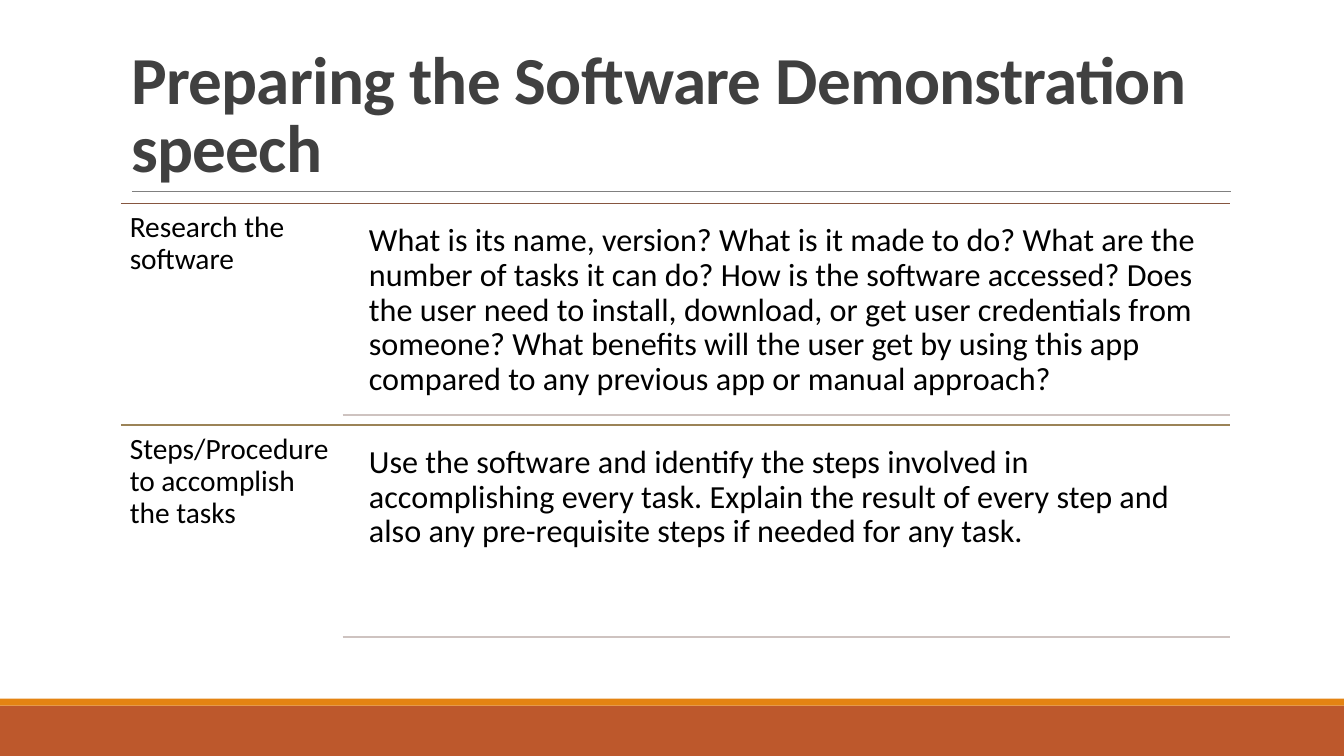
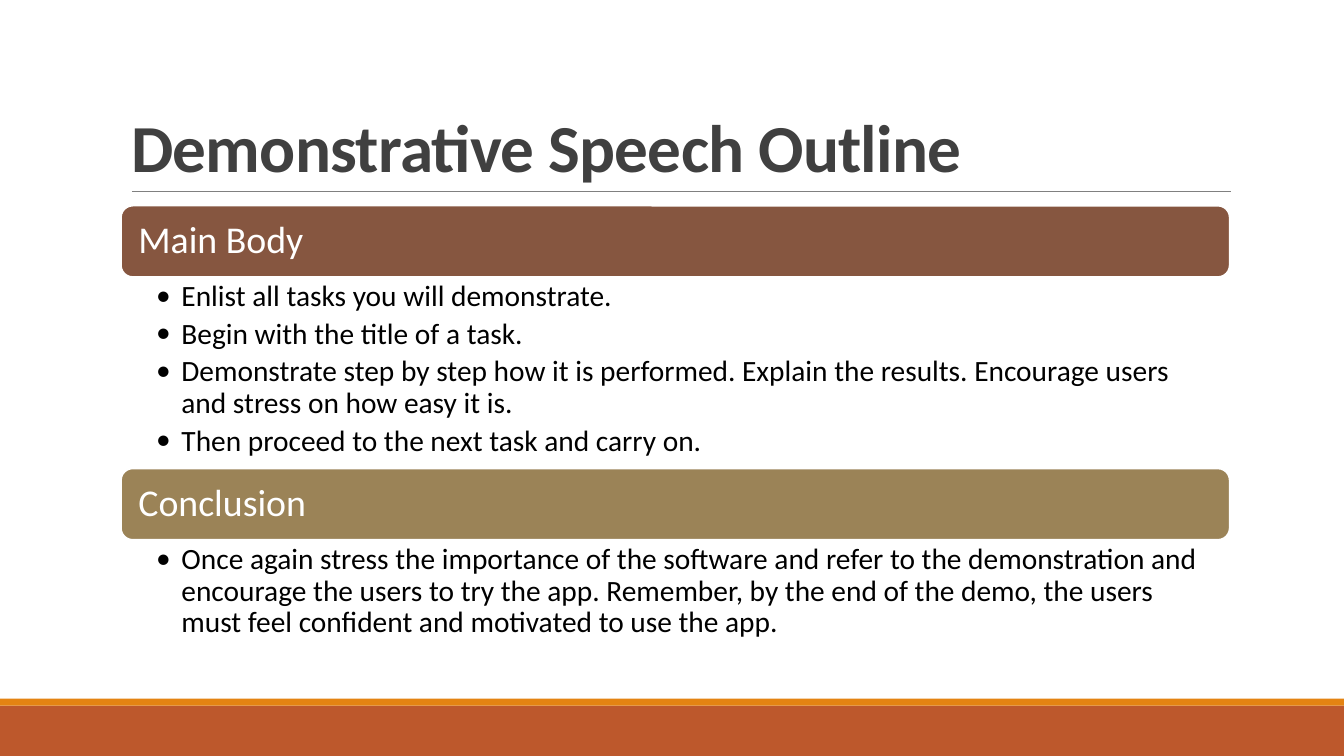
from lxml.etree import SubElement
from pptx import Presentation
from pptx.dml.color import RGBColor
from pptx.enum.shapes import MSO_CONNECTOR, MSO_SHAPE
from pptx.enum.text import MSO_ANCHOR, MSO_AUTO_SIZE, PP_ALIGN
from pptx.oxml.ns import qn
from pptx.util import Pt

RUST = RGBColor(0xBD, 0x58, 0x2C)
ORANGE = RGBColor(0xE4, 0x83, 0x12)
GRAY = RGBColor(0x80, 0x80, 0x80)
CHARCOAL = RGBColor(0x40, 0x40, 0x40)
BROWN = RGBColor(0x86, 0x56, 0x40)
OLIVE = RGBColor(0x9B, 0x83, 0x57)
PALE = RGBColor(0xCE, 0xC3, 0xC0)
BLACK = RGBColor(0, 0, 0)
WHITE = RGBColor(0xFF, 0xFF, 0xFF)

PREPARING_TITLE = "Preparing the Software Demonstration speech"
TOPICS = [
    (BROWN, "Research the software",
     "What is its name, version? What is it made to do? What are the number of tasks "
     "it can do? How is the software accessed? Does the user need to install, download, "
     "or get user credentials from someone? What benefits will the user get by using "
     "this app compared to any previous app or manual approach?"),
    (OLIVE, "Steps/Procedure to accomplish the tasks",
     "Use the software and identify the steps involved in accomplishing every task. "
     "Explain the result of every step and also any pre-requisite steps if needed for "
     "any task."),
]
OUTLINE_TITLE = "Demonstrative Speech Outline"
SECTIONS = [
    (BROWN, "Main Body", 136.7, [
        "Enlist all tasks you will demonstrate.",
        "Begin with the title of a task.",
        "Demonstrate step by step how it is performed. Explain the results. "
        "Encourage users and stress on how easy it is.",
        "Then proceed to the next task and carry on.",
    ]),
    (OLIVE, "Conclusion", 75, [
        "Once again stress the importance of the software and refer to the demonstration "
        "and encourage the users to try the app. Remember, by the end of the demo, the "
        "users must feel confident and motivated to use the app.",
    ]),
]

PAGE_WIDTH, PAGE_HEIGHT = 960, 540
LEFT, WIDTH = 86.4, 792
RIGHT = LEFT + WIDTH
TITLE_TOP, TITLE_BOTTOM = 22.3, 136.8
BANDS = [(RUST, 504, 36), (ORANGE, 499, 5)]
ROW_TOP, ROW_HEIGHT, LABEL_WIDTH = 145.4, 158.4, 158.4
DETAIL_INDENT, DETAIL_GAP, DETAIL_HEIGHT = 11.5, 7.2, 144
BAR_TOP, BAR_HEIGHT = 146.9, 51

TITLE = {"size": 48, "color": CHARCOAL, "bold": True, "leading": 0.85, "after": 0,
         "anchor": MSO_ANCHOR.BOTTOM, "insets": (7.2, 3.6, 7.2, 3.6), "tracking": -50}
LABEL = {"size": 21, "color": BLACK, "insets": (6.3,) * 4}
DETAIL = {"size": 23, "color": BLACK, "insets": (7.2,) * 4}
HEADING = {"size": 27, "color": WHITE, "anchor": MSO_ANCHOR.MIDDLE,
           "insets": (10, 7.9, 10, 7.9)}
LIST = {"size": 21, "color": BLACK, "after": 4.2, "bullet": "•",
        "insets": (25.2, 2.9, 15.1, 2.9)}


def set_all(target, values):
    for name, value in values.items():
        setattr(target, name, value)


def place(box, left, top, width, height):
    set_all(box, {"left": Pt(left), "top": Pt(top),
                  "width": Pt(width), "height": Pt(height)})


def write(box, lines, style):
    frame = box.text_frame
    left, top, right, bottom = style["insets"]
    set_all(frame, {"word_wrap": True, "auto_size": MSO_AUTO_SIZE.NONE,
                    "vertical_anchor": style.get("anchor", MSO_ANCHOR.TOP),
                    "margin_left": Pt(left), "margin_top": Pt(top),
                    "margin_right": Pt(right), "margin_bottom": Pt(bottom)})
    for index, line in enumerate(lines):
        para = frame.add_paragraph() if index else frame.paragraphs[0]
        set_all(para, {"alignment": PP_ALIGN.LEFT, "space_before": Pt(0),
                       "line_spacing": style.get("leading", 0.9),
                       "space_after": Pt(style.get("after", 0))})
        span = para.add_run()
        span.text = line
        set_all(span.font, {"name": "Calibri", "size": Pt(style["size"]),
                            "bold": style.get("bold", False)})
        span.font.color.rgb = style["color"]
    bullet = style.get("bullet")
    for properties in box.element.iter(qn("a:pPr")):
        properties.set("marL", str(Pt(18 if bullet else 0)))
        properties.set("indent", str(Pt(-18 if bullet else 0)))
        if bullet:
            SubElement(properties, qn("a:buFont"), typeface="Calibri")
            SubElement(properties, qn("a:buChar"), char=bullet)
        else:
            SubElement(properties, qn("a:buNone"))
    for properties in box.element.iter(qn("a:rPr")):
        properties.set("spc", str(style.get("tracking", 0)))


def add_block(page, preset, color, left, top, width, height):
    block = page.shapes.add_shape(preset, Pt(left), Pt(top), Pt(width), Pt(height))
    block.shadow.inherit = False
    block.fill.solid()
    block.fill.fore_color.rgb = color
    block.line.fill.background()
    return block


def add_rule(page, color, weight, left, right, top):
    rule = page.shapes.add_connector(MSO_CONNECTOR.STRAIGHT,
                                     Pt(left), Pt(top), Pt(right), Pt(top))
    rule.line.color.rgb = color
    rule.line.width = Pt(weight)
    SubElement(rule.element.find(qn("p:spPr")), qn("a:effectLst"))
    return rule


def move_to_master(deck, page):
    parts = [add_block(page, MSO_SHAPE.RECTANGLE, color, 0, top, PAGE_WIDTH, height)
             for color, top, height in BANDS]
    parts.append(add_rule(page, GRAY, 0.5, 94.3, 879.1, TITLE_BOTTOM))
    for part in parts:
        deck.slide_master.shapes.element.append(part.element)


def add_page(deck, layout_name, title):
    page = deck.slides.add_slide(deck.slide_layouts.get_by_name(layout_name))
    place(page.shapes.title, LEFT, TITLE_TOP, WIDTH, TITLE_BOTTOM - TITLE_TOP)
    write(page.shapes.title, [title], TITLE)
    return page


def fill_topics(page):
    bodies = list(page.placeholders)[1:]
    detail_left = LEFT + LABEL_WIDTH + DETAIL_INDENT
    for index, (color, label, detail) in enumerate(TOPICS):
        top = ROW_TOP + index * ROW_HEIGHT
        detail_top = top + DETAIL_GAP
        label_box, detail_box = bodies[2 * index:2 * index + 2]
        add_rule(page, color, 1.25, LEFT, RIGHT, top)
        place(label_box, LEFT, top, LABEL_WIDTH, ROW_HEIGHT)
        write(label_box, [label], LABEL)
        place(detail_box, detail_left, detail_top, RIGHT - detail_left, DETAIL_HEIGHT)
        write(detail_box, [detail], DETAIL)
        add_rule(page, PALE, 1.25, LEFT + LABEL_WIDTH, RIGHT, detail_top + DETAIL_HEIGHT)


def fill_outline(page):
    top = BAR_TOP
    bodies = list(page.placeholders)[1:]
    for body, (color, heading, height, items) in zip(bodies, SECTIONS):
        bar = add_block(page, MSO_SHAPE.ROUNDED_RECTANGLE, color,
                        LEFT, top, WIDTH, BAR_HEIGHT)
        bar.line.color.rgb = WHITE
        bar.line.width = Pt(1.25)
        write(bar, [heading], HEADING)
        top += BAR_HEIGHT
        place(body, LEFT, top, WIDTH, height)
        write(body, items, LIST)
        top += height


def main():
    deck = Presentation()
    set_all(deck, {"slide_width": Pt(PAGE_WIDTH), "slide_height": Pt(PAGE_HEIGHT)})
    preparing = add_page(deck, "Comparison", PREPARING_TITLE)
    move_to_master(deck, preparing)
    fill_topics(preparing)
    fill_outline(add_page(deck, "Two Content", OUTLINE_TITLE))
    deck.save("out.pptx")


if __name__ == "__main__":
    main()
